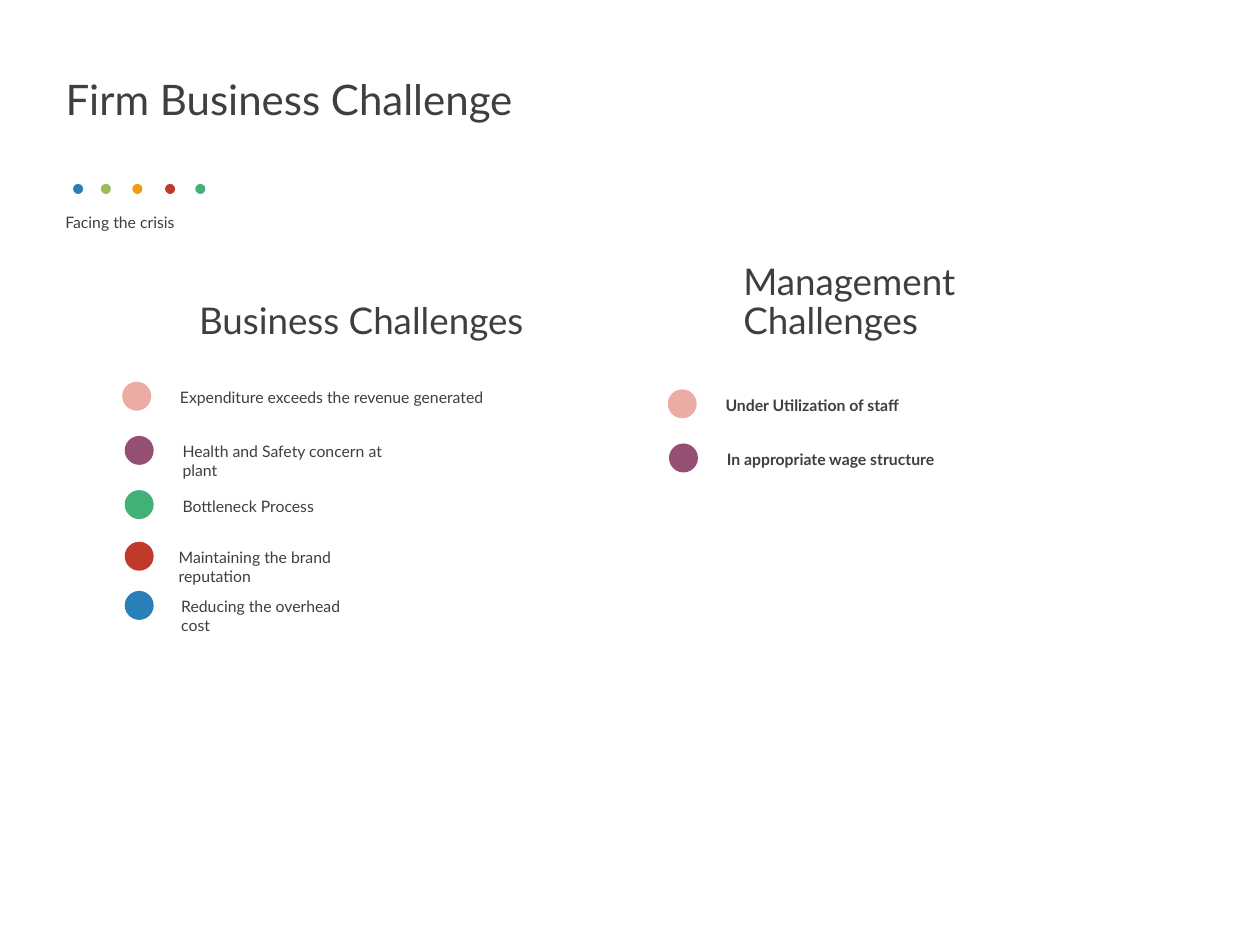
import pptx
import pptx.dml.color
import pptx.enum.shapes
import pptx.enum.text
import pptx.util
from pptx.util import Inches

FONT = "Lato"
COLORS = {
    "text": "3F3F3F",
    "blue": "2980B9",
    "lime": "9BBB59",
    "orange": "F39C12",
    "red": "C0392B",
    "green": "41B176",
    "pink": "EBACA5",
    "purple": "954F72",
}
DOT_SIZE = 0.08
MARKER_SIZE = 0.23

# left, colour
DOTS = [(0.58, "blue"), (0.8, "lime"), (1.05, "orange"), (1.31, "red"), (1.55, "green")]

# heading, left, width
HEADINGS = [("Business Challenges", 1.51, 2.8), ("Management Challenges", 5.83, 3.07)]

# text, colour, marker left, text left, top, text width, text height
BUSINESS_ITEMS = [
    ("Expenditure exceeds the revenue generated", "pink", 0.97, 1.33, 3.03, 2.72, 0.25),
    ("Health and Safety concern at plant", "purple", 0.99, 1.35, 3.46, 1.91, 0.4),
    ("Bottleneck Process", "green", 0.99, 1.35, 3.89, 1.65, 0.25),
    ("Maintaining the brand reputation", "red", 0.99, 1.32, 4.3, 1.52, 0.4),
    ("Reducing the overhead cost", "blue", 0.99, 1.34, 4.69, 1.56, 0.4),
]
MANAGEMENT_ITEMS = [
    ("Under Utilization of staff", "pink", 5.3, 5.66, 3.09, 2.72, 0.25),
    ("In appropriate wage structure", "purple", 5.31, 5.67, 3.52, 1.91, 0.4),
]


def rgb(name):
    return pptx.dml.color.RGBColor.from_string(COLORS[name])


def write_text(shape, text, size, bold=False, spacing=None, bottom=False):
    frame = shape.text_frame
    frame.word_wrap = True
    frame.auto_size = pptx.enum.text.MSO_AUTO_SIZE.NONE
    anchors = pptx.enum.text.MSO_ANCHOR
    frame.vertical_anchor = anchors.BOTTOM if bottom else anchors.TOP
    frame.text = text
    paragraph = frame.paragraphs[0]
    paragraph.alignment = pptx.enum.text.PP_ALIGN.LEFT
    if spacing:
        paragraph.line_spacing = spacing
    paragraph.font.name = FONT
    paragraph.font.size = pptx.util.Pt(size)
    paragraph.font.bold = bold
    paragraph.font.color.rgb = rgb("text")


def add_circle(shapes, left, top, size, color):
    circle = shapes.add_shape(
        pptx.enum.shapes.MSO_SHAPE.OVAL,
        Inches(left), Inches(top), Inches(size), Inches(size))
    circle.shadow.inherit = False
    circle.fill.solid()
    circle.fill.fore_color.rgb = rgb(color)
    circle.line.fill.background()


def add_text(shapes, left, top, width, height, text, size, **style):
    box = shapes.add_textbox(Inches(left), Inches(top), Inches(width), Inches(height))
    write_text(box, text, size, **style)
    return box


def add_title(slide, text):
    title = slide.shapes.title
    title.left, title.top = Inches(0.42), Inches(0.51)
    title.width, title.height = Inches(9.15), Inches(0.53)
    write_text(title, text, 24, spacing=0.9, bottom=True)


def add_heading(slide, text, left, width):
    box = add_text(slide.shapes, left, 2.36, width, 0.4, text, 21, spacing=0.9, bottom=True)
    frame = box.text_frame
    frame.margin_left = frame.margin_right = Inches(0.07)
    frame.margin_top = frame.margin_bottom = Inches(0.04)


def add_items(slide, items, bold=False):
    """Add one group of marker and label per challenge."""
    for text, color, marker_left, left, top, width, height in items:
        group = slide.shapes.add_group_shape()
        add_circle(group.shapes, marker_left, top, MARKER_SIZE, color)
        add_text(group.shapes, left, top, width, height, text, 9, bold=bold)


def main():
    presentation = pptx.Presentation()
    presentation.slide_width = Inches(10)
    presentation.slide_height = Inches(7.5)
    slide = presentation.slides.add_slide(presentation.slide_layouts[5])

    add_title(slide, "Firm Business Challenge")
    dots = slide.shapes.add_group_shape()
    for left, color in DOTS:
        add_circle(dots.shapes, left, 1.46, DOT_SIZE, color)
    add_text(slide.shapes, 0.42, 1.66, 9.15, 0.29, "Facing the crisis", 9, spacing=0.9)
    for heading in HEADINGS:
        add_heading(slide, *heading)
    add_items(slide, BUSINESS_ITEMS)
    add_items(slide, MANAGEMENT_ITEMS, bold=True)

    presentation.save("out.pptx")


if __name__ == "__main__":
    main()
